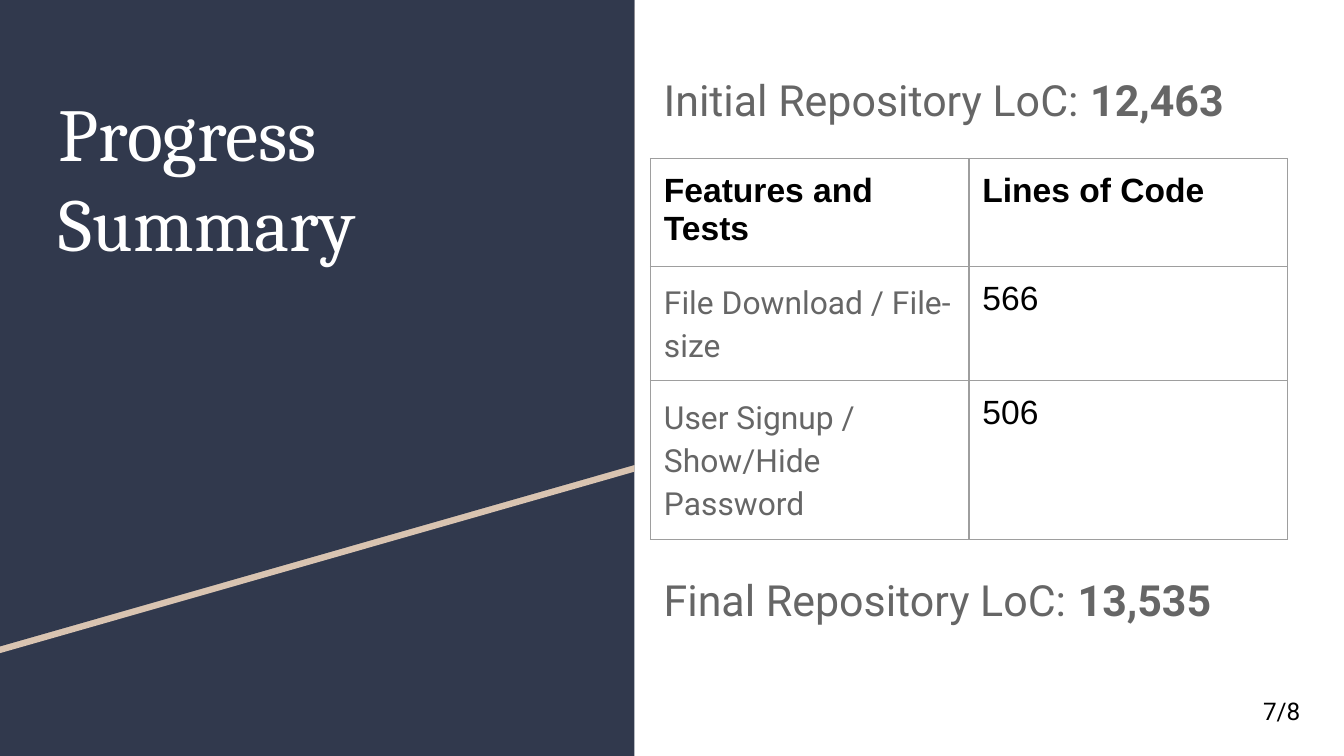
from dataclasses import dataclass

import pptx
import pptx.dml.color
import pptx.enum.shapes
import pptx.enum.text
import pptx.oxml
import pptx.oxml.ns
import pptx.util

Inches = pptx.util.Inches
WIDTH = 10
HEIGHT = WIDTH * 9 / 16
PANEL = 0.472 * WIDTH
CONTENT_LEFT = 0.484 * WIDTH
INSET = 0.1


@dataclass(frozen=True)
class Theme:
    navy: str = "31394D"
    sand: str = "D9C4B1"
    white: str = "FFFFFF"
    grey: str = "666666"
    black: str = "000000"
    rule: str = "9E9E9E"
    title_size: int = 40
    total_size: int = 23
    cell_size: int = 18
    feature_size: int = 17
    page_size: int = 13


THEME = Theme()


@dataclass(frozen=True)
class TextStyle:
    font: str
    size: int
    color: str
    bold: bool = False
    spacing: float = 1.0
    after: int = 0


@dataclass(frozen=True)
class Box:
    left: float
    top: float
    width: float
    height: float

    def lengths(self) -> tuple:
        return tuple(Inches(v) for v in (self.left, self.top, self.width, self.height))


@dataclass(frozen=True)
class Line:
    """One paragraph: plain text, a bold ending and the gap above in points."""
    text: str
    emphasis: str = ""
    before: int = 0


@dataclass(frozen=True)
class Feature:
    name: str
    lines: str
    height: float


TITLE = TextStyle("Cambria", THEME.title_size, THEME.white)
TOTAL = TextStyle("Roboto", THEME.total_size, THEME.grey, spacing=1.15)
PAGE = TextStyle("Roboto", THEME.page_size, THEME.black)
HEADING = TextStyle("Arial", THEME.cell_size, THEME.black, bold=True)
COUNT = TextStyle("Arial", THEME.cell_size, THEME.black)
FEATURE = TextStyle("Roboto", THEME.feature_size, THEME.grey, spacing=1.15, after=12)

TOTALS = (
    Line("Initial Repository LoC: ", "12,463"),
    Line("Final Repository LoC: ", "13,535", before=236),
)
HEADER = Feature("Features and Tests", "Lines of Code", 0.8)
FEATURES = (
    Feature("File Download / File-size", "566", 0.85),
    Feature("User Signup / Show/Hide Password", "506", 1.18),
)


def rgb(color: str):
    return pptx.dml.color.RGBColor.from_string(color)


def paint(shape, color: str) -> None:
    shape.shadow.inherit = False
    shape.fill.solid()
    shape.fill.fore_color.rgb = rgb(color)
    shape.line.fill.background()


def style_run(run, style: TextStyle, bold: bool) -> None:
    run.font.name = style.font
    run.font.size = pptx.util.Pt(style.size)
    run.font.color.rgb = rgb(style.color)
    run.font.bold = bold


def write(frame, style: TextStyle, *lines: Line) -> None:
    for index, line in enumerate(lines):
        paragraph = frame.add_paragraph() if index else frame.paragraphs[0]
        paragraph.text = line.text
        paragraph.line_spacing = style.spacing
        paragraph.space_before = pptx.util.Pt(line.before)
        paragraph.space_after = pptx.util.Pt(style.after)
        style_run(paragraph.runs[0], style, style.bold)
        if line.emphasis:
            run = paragraph.add_run()
            run.text = line.emphasis
            style_run(run, style, True)


def set_insets(holder) -> None:
    for side in ("left", "right", "top", "bottom"):
        setattr(holder, f"margin_{side}", Inches(INSET))


def add_text(slide, box: Box, style: TextStyle, *lines: Line) -> None:
    frame = slide.shapes.add_textbox(*box.lengths()).text_frame
    frame.word_wrap = True
    frame.vertical_anchor = pptx.enum.text.MSO_ANCHOR.TOP
    set_insets(frame)
    write(frame, style, *lines)


def add_slanted_panel(slide, top: float, color: str) -> None:
    builder = slide.shapes.build_freeform(0, Inches(top))
    corners = ((PANEL, top), (PANEL, top + 3.46), (0, top + 4.81))
    builder.add_line_segments([(Inches(x), Inches(y)) for x, y in corners], close=True)
    paint(builder.convert_to_shape(), color)


def add_panel(slide) -> None:
    panel = slide.shapes.add_shape(
        pptx.enum.shapes.MSO_SHAPE.RECTANGLE, *Box(0, 0, PANEL, HEIGHT).lengths()
    )
    paint(panel, THEME.navy)
    add_slanted_panel(slide, 0.05, THEME.sand)
    add_slanted_panel(slide, 0, THEME.navy)


def set_borders(cell) -> None:
    properties = cell._tc.get_or_add_tcPr()
    for position, edge in enumerate(("lnL", "lnR", "lnT", "lnB")):
        line = pptx.oxml.parse_xml(
            f'<a:{edge} {pptx.oxml.ns.nsdecls("a")} w="{pptx.util.Pt(0.75)}">'
            f'<a:solidFill><a:srgbClr val="{THEME.rule}"/></a:solidFill></a:{edge}>'
        )
        properties.insert(position, line)


def fill_cell(cell, text: str, style: TextStyle) -> None:
    set_insets(cell)
    cell.fill.background()
    set_borders(cell)
    write(cell.text_frame, style, Line(text))


def add_feature_table(slide) -> None:
    rows = (HEADER, *FEATURES)
    box = Box(CONTENT_LEFT, 1.18, 4.74, sum(row.height for row in rows))
    table = slide.shapes.add_table(len(rows), 2, *box.lengths()).table
    table.first_row = table.horz_banding = False
    for index, row in enumerate(rows):
        table.rows[index].height = Inches(row.height)
        is_header = row is HEADER
        fill_cell(table.cell(index, 0), row.name, HEADING if is_header else FEATURE)
        fill_cell(table.cell(index, 1), row.lines, HEADING if is_header else COUNT)


def main() -> None:
    deck = pptx.Presentation()
    deck.slide_width, deck.slide_height = Inches(WIDTH), Inches(HEIGHT)
    slide = deck.slides.add_slide(deck.slide_layouts[6])
    add_panel(slide)
    add_text(slide, Box(0.34, 0.55, 4.05, 2.74), TITLE, Line("Progress Summary"))
    add_text(slide, Box(CONTENT_LEFT, 0.39, 4.56, 4.48), TOTAL, *TOTALS)
    add_text(slide, Box(9.3, 5.08, 0.56, 0.42), PAGE, Line("7/8"))
    add_feature_table(slide)
    deck.save("out.pptx")


if __name__ == "__main__":
    main()
